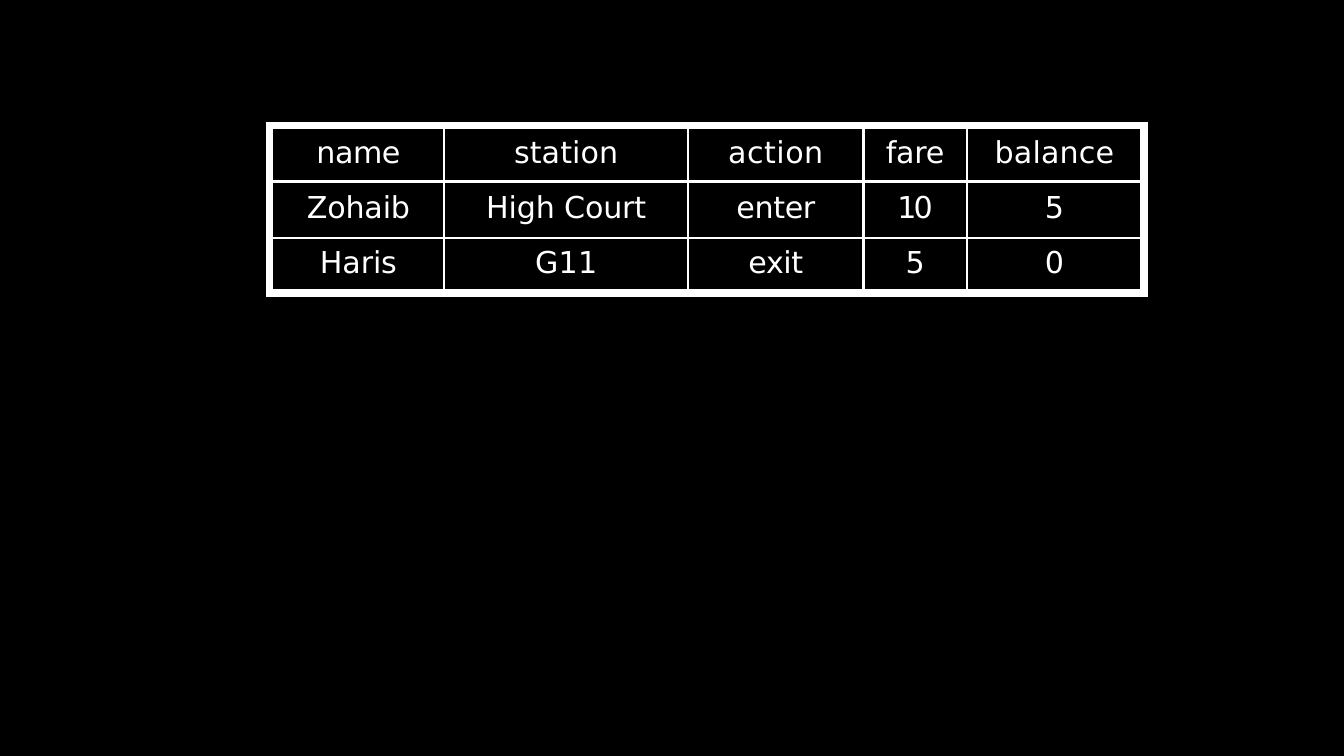
from lxml import etree
from pptx import Presentation, util as u
from pptx.dml.color import RGBColor
from pptx.enum import text
from pptx.oxml import ns

ROWS = [
    ("name", "station", "action", "fare", "balance"),
    ("Zohaib", "High Court", "enter", "10", "5"),
    ("Haris", "G11", "exit", "5", "0"),
]
TRACK = [
    (-0.5, 0.1, 0.6, -0.3, 0.2),
    (-0.2, -0.2, -0.4, -3.5, 0),
    (-0.2, 0.2, -0.5, 0, 0),
]
PADS = [(0.11, 7.9), (0.14, 10), (0.13, 9.2)]
WIDE = [0.11, 2.81, 3.99, 2.87, 1.69, 2.85, 0.12]
HIGH = [0.11, 0.86, 0.92, 0.86, 0.11]
LEFT, TOP = 4.35, 2
INDENT = 0.02
THEME = {
    "paper": RGBColor(0, 0, 0),
    "ink": RGBColor(255, 255, 255),
    "font": "DejaVu Sans",
    "size": 35.5,
    "rim": 1,
    "rule": 3,
    "style": "{2D5ABB26-0587-4C30-8999-92F81FD0307C}",
}


def apply(item, looks):
    for key, value in looks.items():
        setattr(item, key, value)


def paint(fill, color):
    fill.solid()
    fill.fore_color.rgb = color


def rule(cell, sides):
    props = cell._tc.get_or_add_tcPr()
    for spot, side in enumerate(sides):
        line = etree.Element(ns.qn("a:ln" + side), w=str(u.Pt(THEME["rule"])))
        fill = etree.SubElement(line, ns.qn("a:solidFill"))
        etree.SubElement(fill, ns.qn("a:srgbClr"), val=str(THEME["ink"]))
        props.insert(spot, line)


def write(cell, row, col):
    pad, space = PADS[row]
    cell.margin_top = u.Inches(pad)
    para = cell.text_frame.paragraphs[0]
    apply(para, {"alignment": text.PP_ALIGN.CENTER, "space_before": u.Pt(space)})
    if col == len(ROWS[0]) - 1:
        para._p.get_or_add_pPr().set("marL", str(u.Inches(INDENT)))
    run = para.add_run()
    run.text = ROWS[row][col]
    apply(run.font, {"name": THEME["font"], "size": u.Pt(THEME["size"])})
    run.font.color.rgb = THEME["ink"]
    run.font._element.set("spc", str(round(TRACK[row][col] * 100)))
    edges = {"L": col > 0, "R": col < len(ROWS[0]) - 1,
             "T": row > 0, "B": row < len(ROWS) - 1}
    rule(cell, [side for side, shown in edges.items() if shown])


def shrink(cell):
    para = cell.text_frame.paragraphs[0]._p
    etree.SubElement(para, ns.qn("a:endParaRPr"), sz=str(THEME["rim"] * 100))


def main():
    deck = Presentation()
    apply(deck, {"slide_width": u.Inches(21.99), "slide_height": u.Inches(12.37)})
    slide = deck.slides.add_slide(deck.slide_layouts[6])
    paint(slide.background.fill, THEME["paper"])
    box = [u.Inches(n) for n in (LEFT, TOP, sum(WIDE), sum(HIGH))]
    table = slide.shapes.add_table(len(HIGH), len(WIDE), *box).table
    apply(table, {"first_row": False, "horz_banding": False})
    table._tbl.tblPr.find(ns.qn("a:tableStyleId")).text = THEME["style"]
    for col, width in zip(table.columns, WIDE):
        col.width = u.Inches(width)
    for r, height in enumerate(HIGH):
        table.rows[r].height = u.Inches(height)
        for c in range(len(WIDE)):
            cell = table.cell(r, c)
            inner = 0 < r < len(HIGH) - 1 and 0 < c < len(WIDE) - 1
            apply(cell, {"margin_" + side: 0 for side in ("left", "right", "top", "bottom")})
            paint(cell.fill, THEME["paper" if inner else "ink"])
            if inner:
                write(cell, r - 1, c - 1)
            else:
                shrink(cell)
    deck.save("out.pptx")


if __name__ == "__main__":
    main()
